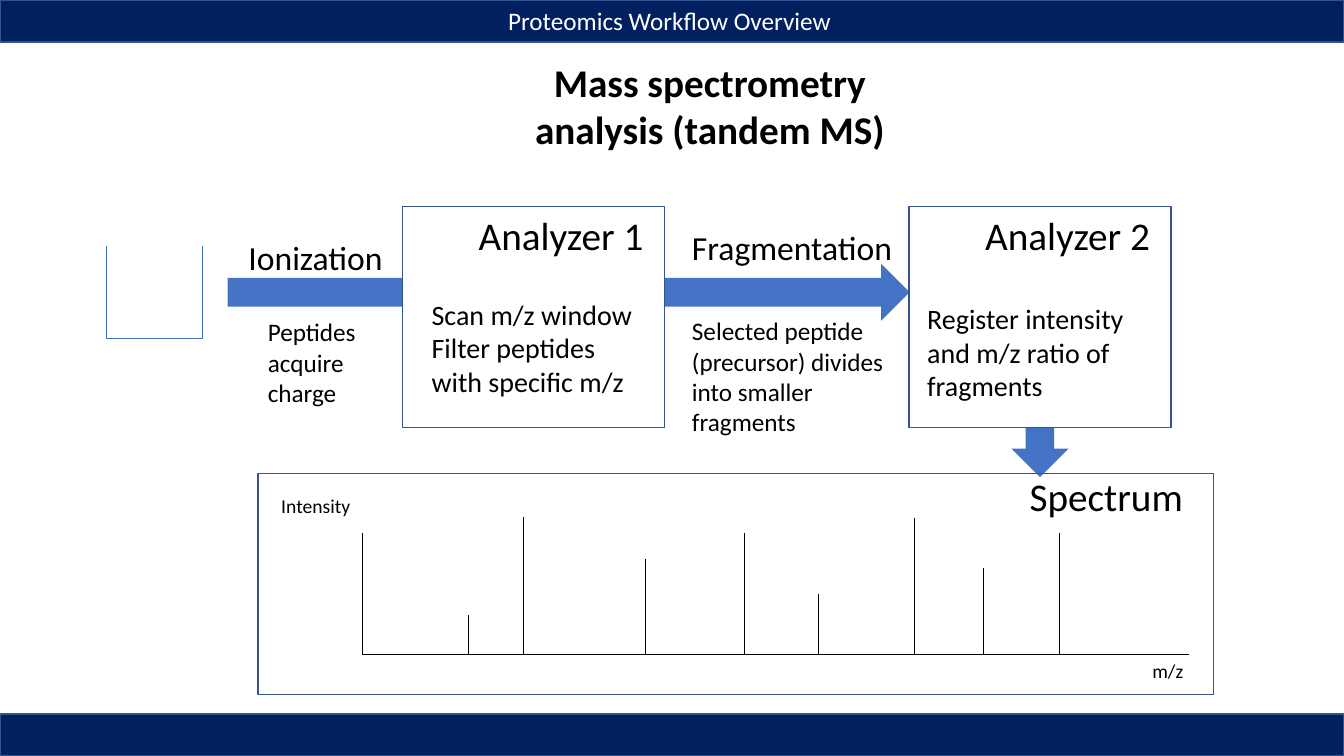
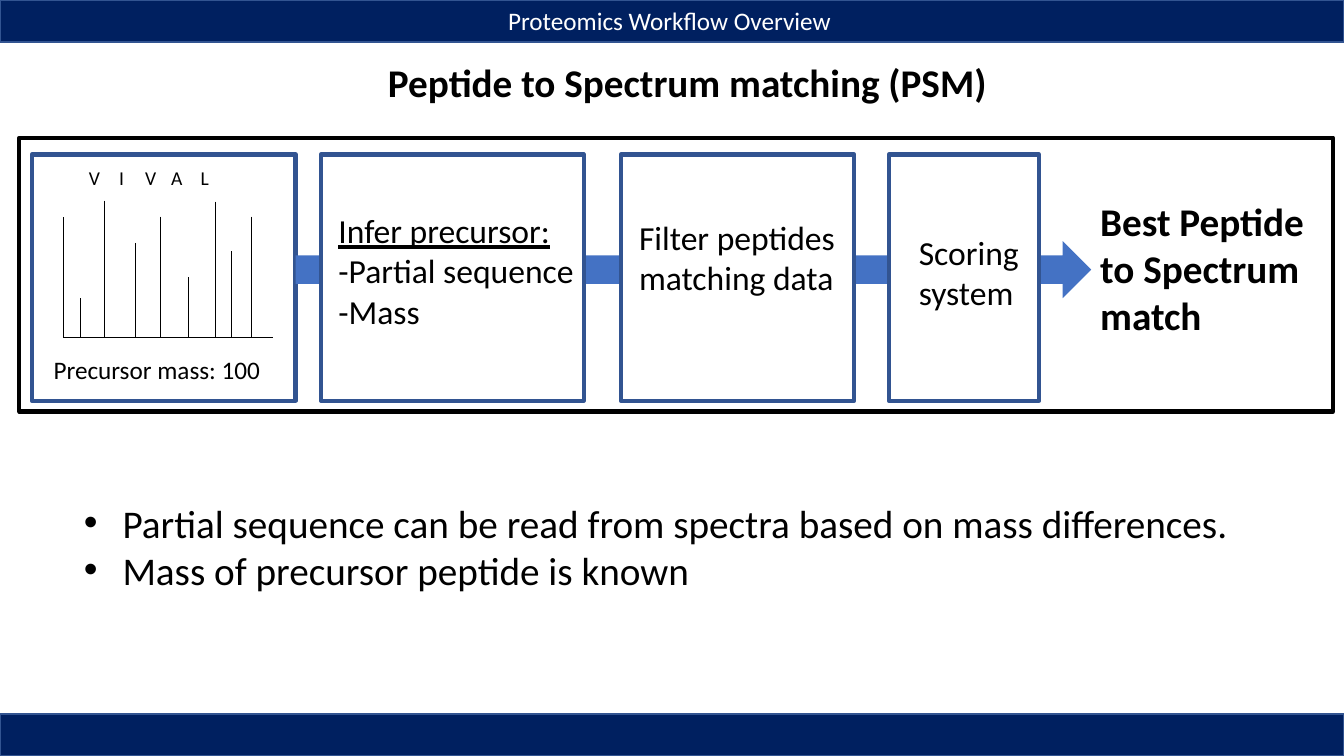
from lxml import etree
from pptx import Presentation
from pptx.dml.color import RGBColor
from pptx.enum.shapes import MSO_CONNECTOR, MSO_SHAPE
from pptx.enum.text import MSO_AUTO_SIZE, PP_ALIGN
from pptx.oxml.ns import qn
from pptx.util import Inches, Pt

RECTANGLE = MSO_SHAPE.RECTANGLE
ARROW = MSO_SHAPE.RIGHT_ARROW
STRAIGHT = MSO_CONNECTOR.STRAIGHT
GROW = MSO_AUTO_SIZE.SHAPE_TO_FIT_TEXT
LEFT, CENTER = PP_ALIGN.LEFT, PP_ALIGN.CENTER

FONT = "Calibri"
COLORS = {
    "band": "002060",
    "arrow": "4472C4",
    "outline": "325491",
    "ink": "000000",
    "paper": "FFFFFF",
}

# The slide is a grid of square cells, twelve to the inch.
COLUMNS, ROWS = 160, 90
CELL = Inches(1) / 12
BAND_ROWS = 5
ARROW_ROWS = 6.8
BULLET_INDENT = 4.6
AXIS_ROWS = 14.4
PEAK_ROWS = (4.7, 16.3, 11.3, 14.4, 7.2, 16.2, 10.3, 14.4)


def cells(*counts):
    """Convert numbers of grid cells to slide lengths."""
    return [round(count * CELL) for count in counts]


def color(name):
    """Look up a palette colour."""
    return RGBColor.from_string(COLORS[name])


def add_block(slide, area, fill=None, line=None, weight=1, kind=RECTANGLE):
    """Add a flat preset shape with an optional fill and outline."""
    block = slide.shapes.add_shape(kind, *cells(*area))
    block.shadow.inherit = False
    if fill:
        block.fill.solid()
        block.fill.fore_color.rgb = color(fill)
    else:
        block.fill.background()
    if line:
        block.line.color.rgb = color(line)
        block.line.width = Pt(weight)
    else:
        block.line.fill.background()
    return block


def add_arrow(slide, left, top, length, rotation=0):
    """Add a thick flow arrow."""
    area = (left, top, length, ARROW_ROWS)
    add_block(slide, area, fill="arrow", kind=ARROW).rotation = rotation


def add_bullet(paragraph):
    """Give a paragraph a round bullet and a hanging indent."""
    properties = paragraph._p.get_or_add_pPr()
    indent = cells(BULLET_INDENT)[0]
    properties.set("marL", str(indent))
    properties.set("indent", str(-indent))
    etree.SubElement(properties, qn("a:buFont")).set("typeface", "Arial")
    etree.SubElement(properties, qn("a:buChar")).set("char", "•")


def add_text(slide, area, size, *lines, ink="ink", bold=False, align=LEFT,
             heading=None, bullets=False):
    """Add wrapped text, one paragraph a line; the heading is underlined."""
    frame = slide.shapes.add_textbox(*cells(*area)).text_frame
    frame.word_wrap = True
    frame.auto_size = GROW
    paragraphs = [heading, *lines] if heading else lines
    for number, line in enumerate(paragraphs):
        paragraph = frame.add_paragraph() if number else frame.paragraphs[0]
        paragraph.alignment = align
        if bullets:
            add_bullet(paragraph)
        run = paragraph.add_run()
        run.text = line
        run.font.name = FONT
        run.font.size = Pt(size)
        run.font.bold = bold
        run.font.underline = line == heading
        run.font.color.rgb = color(ink)


def add_line_group(slide, segments, ink):
    """Add a group of thin straight lines."""
    group = slide.shapes.add_group_shape()
    for segment in segments:
        stroke = group.shapes.add_connector(STRAIGHT, *cells(*segment))
        stroke.line.color.rgb = color(ink)
        stroke.line.width = Pt(0.5)
        etree.SubElement(stroke._element.spPr, qn("a:effectLst"))


def add_spectrum(slide, start, end, base, peak_columns):
    """Draw the axes and the peaks of a mass spectrum."""
    axes = [(start, base, end, base), (start, base, start, base - AXIS_ROWS)]
    peaks = [(column, base - height, column, base)
             for column, height in zip(peak_columns, PEAK_ROWS)]
    add_line_group(slide, axes + peaks, "ink")


def add_vial(slide, left, top, right, bottom):
    """Draw the open sample vial."""
    walls = [(side, top, side, bottom) for side in (left, right)]
    add_line_group(slide, walls + [(left, bottom, right, bottom)], "arrow")


def add_analyzer(slide, left, name, task_area, *task):
    """Add an analyzer box with its name and its task."""
    add_block(slide, (left, 24.6, 31.2, 26.3), "paper", "outline")
    add_text(slide, (left + 7.9, 24.6, 23.2, 6.9), 28, name)
    add_text(slide, task_area, 20, *task)


def add_stage(slide, left, width):
    """Add the frame of one matching stage."""
    add_block(slide, (left, 18.4, width, 29.3), "paper", "outline", 3)


def start_slide(deck, title, title_area):
    """Add a slide with the bands, the running head and its title."""
    slide = deck.slides.add_slide(deck.slide_layouts[6])
    for top in (0, ROWS - BAND_ROWS):
        add_block(slide, (0, top, COLUMNS, BAND_ROWS), "band", "outline")
    add_text(slide, (59.3, 0, 42.8, 4.8), 18, "Proteomics Workflow Overview",
             ink="paper")
    add_text(slide, title_area, 28, title, bold=True, align=CENTER)
    return slide


def build_spectrometry(deck):
    """Build the tandem mass spectrometry slide."""
    slide = start_slide(deck, "Mass spectrometry analysis (tandem MS)",
                        (58.3, 6.4, 52.4, 12.5))
    add_arrow(slide, 112.8, 42.4, 22, rotation=90)
    add_arrow(slide, 27.1, 31.4, 81.2)
    add_vial(slide, 12.7, 29.3, 24.1, 40.3)
    add_analyzer(slide, 47.9, "Analyzer 1", (50.2, 34.8, 27.4, 13.3),
                 "Scan m/z window", "Filter peptides with specific m/z")
    add_analyzer(slide, 108.2, "Analyzer 2", (109.2, 35.3, 29.3, 13.3),
                 "Register intensity and m/z ratio of fragments")
    add_text(slide, (28.4, 27.6, 19.3, 6), 24, "Ionization")
    add_text(slide, (30.7, 37.1, 13.4, 12.1), 18, "Peptides acquire charge")
    add_text(slide, (81.2, 26.4, 26.5, 6), 24, "Fragmentation")
    add_text(slide, (81.2, 37, 25.7, 15.7), 18,
             "Selected peptide (precursor) divides into smaller fragments")
    add_block(slide, (30.7, 56.4, 113.8, 26.3), line="outline")
    add_text(slide, (121.4, 55.6, 23.2, 6.9), 28, "Spectrum")
    add_text(slide, (32.3, 58.2, 11.8, 4.1), 14, "Intensity")
    add_text(slide, (136, 77.9, 11.8, 4.1), 14, "m/z")
    add_spectrum(slide, 43.1, 141.6, 77.9,
                 (55.8, 62.3, 76.8, 88.6, 97.4, 108.8, 117.1, 126.1))


def build_matching(deck):
    """Build the peptide to spectrum matching slide."""
    slide = start_slide(deck, "Peptide to Spectrum matching (PSM)",
                        (43.7, 6.4, 76.2, 6.9))
    add_stage(slide, 3.8, 31.4)
    add_arrow(slide, 35.2, 28.7, 94.7)
    for left, width in ((38.2, 31.3), (73.9, 27.8), (105.8, 17.9)):
        add_stage(slide, left, width)
    add_spectrum(slide, 7.6, 32.5, 40.2,
                 (9.6, 12.4, 16.1, 19.1, 22.4, 25.6, 27.6, 29.9))
    for residue, left in zip("VIVAL", (9.4, 13, 16.1, 19.2, 22.7)):
        add_text(slide, (left, 19.2, 4.3, 4.1), 14, residue)
    add_text(slide, (5.2, 41.6, 27.4, 4.8), 18, "Precursor mass: 100")
    add_text(slide, (39.1, 24.4, 30.8, 15.7), 24, "-Partial sequence",
             "-Mass", heading="Infer precursor:")
    add_text(slide, (74.9, 25.2, 25.9, 10.9), 24,
             "Filter peptides matching data")
    add_text(slide, (108.2, 27, 15.5, 10.9), 24, "Scoring system")
    add_text(slide, (129.8, 22.9, 28.7, 18.1), 28,
             "Best Peptide to Spectrum match", bold=True)
    add_block(slide, (2.3, 16.4, 156.4, 32.6), line="ink", weight=3)
    add_text(slide, (8.8, 58.8, 142.4, 12.5), 28,
             "Partial sequence can be read from spectra based on mass "
             "differences.",
             "Mass of precursor peptide is known", bullets=True)


def main():
    """Build and save the deck."""
    deck = Presentation()
    deck.slide_width, deck.slide_height = cells(COLUMNS, ROWS)
    build_spectrometry(deck)
    build_matching(deck)
    deck.save("out.pptx")


main()
